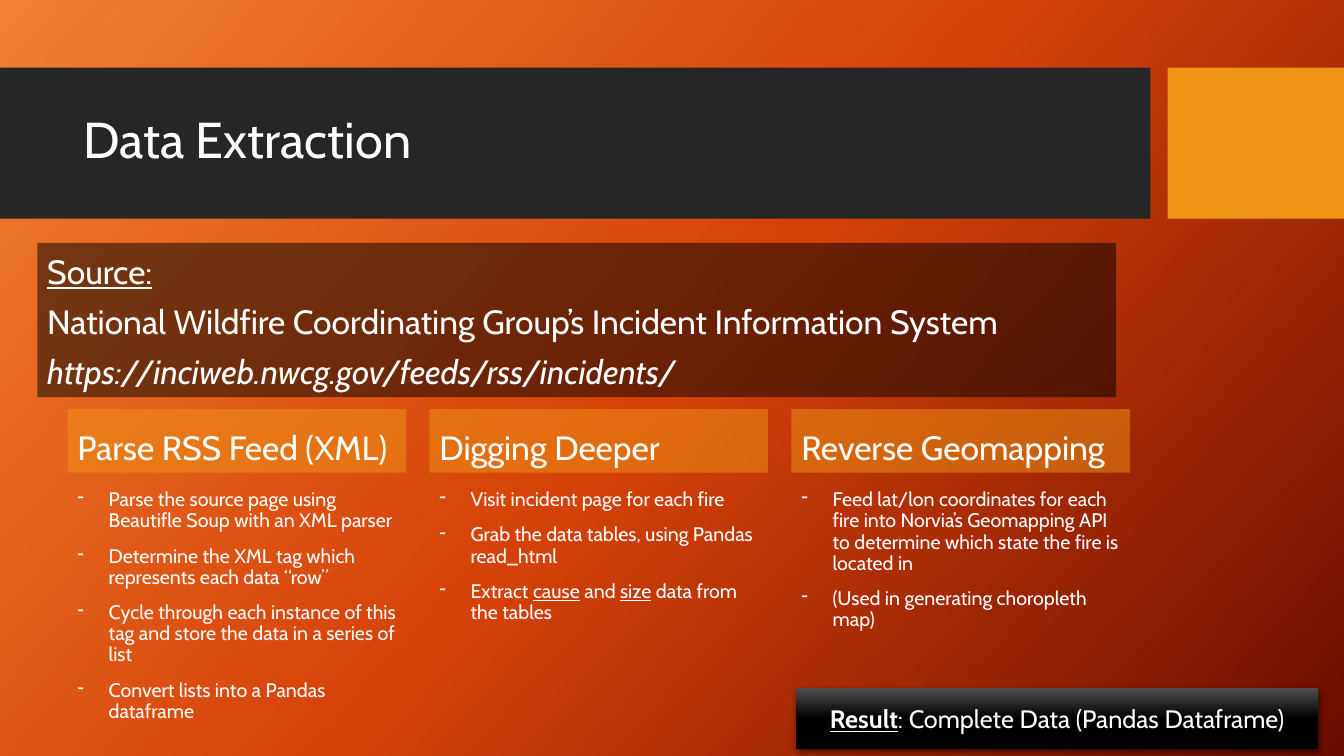
from lxml import etree
from pptx import Presentation
from pptx.dml.color import RGBColor
from pptx.enum.shapes import MSO_SHAPE
from pptx.enum.text import MSO_ANCHOR, PP_ALIGN
from pptx.oxml.ns import qn
from pptx.util import Inches, Pt

RECTANGLE = MSO_SHAPE.RECTANGLE
TOP, MIDDLE, BOTTOM = MSO_ANCHOR.TOP, MSO_ANCHOR.MIDDLE, MSO_ANCHOR.BOTTOM
LEFT, CENTER = PP_ALIGN.LEFT, PP_ALIGN.CENTER
COLORS = {
    "glow": "F18031", "flame": "D54209", "ember": "6A0D00",
    "band": "262626", "accent": "F09415", "text": "FFFFFF",
    "black": "000000", "gloss": "4D4D4D",
}
STEPS = [
    ("Parse RSS Feed (XML)", 2.6, [
        "Parse the source page using Beautifle Soup with an XML parser",
        "Determine the XML tag which represents each data “row”",
        "Cycle through each instance of this tag and store the data in a series of list",
        "Convert lists into a Pandas dataframe",
    ]),
    ("Digging Deeper", 1.69, [
        "Visit incident page for each fire",
        "Grab the data tables, using Pandas read_html",
        [("Extract ", {}), ("cause", {"underline": True}), (" and ", {}),
         ("size", {"underline": True}), (" data from the tables", {})],
    ]),
    ("Reverse Geomapping", 1.59, [
        "Feed lat/lon coordinates for each fire into Norvia’s Geomapping API "
        "to determine which state the fire is located in",
        "(Used in generating choropleth map)",
    ]),
]
SOURCE = [
    [("Source:", {"underline": True})],
    "National Wildfire Coordinating Group’s Incident Information System",
    [("https://inciweb.nwcg.gov/feeds/rss/incidents/", {"italic": True})],
]
RESULT = [[("Result", {"bold": True, "underline": True}),
           (": Complete Data (Pandas Dataframe)", {})]]
COLUMN_LEFT, COLUMN_STEP, COLUMN_WIDTH = 0.67, 3.59, 3.36


def add_run(paragraph, text, size, bold=False, italic=False, underline=False):
    run = paragraph.add_run()
    run.text = text
    font = run.font
    font.name, font.size = "Cabin", Pt(size)
    font.bold, font.italic, font.underline = bold, italic, underline
    font.color.rgb = RGBColor.from_string(COLORS["text"])


class SlideBuilder:
    """Holds the deck's style and the slide being built."""

    def __init__(self, presentation):
        self.slide = presentation.slides.add_slide(presentation.slide_layouts[6])

    def gradient(self, fill, owner, stops, angle):
        fill.gradient()
        fill.gradient_angle = 360 - angle
        stop_list = next(owner.iter(qn("a:gsLst")))
        for stop in list(stop_list):
            stop_list.remove(stop)
        for percent, color in stops:
            stop = etree.SubElement(stop_list, qn("a:gs"), pos=str(percent * 1000))
            etree.SubElement(stop, qn("a:srgbClr"), val=COLORS[color])

    def background(self, stops, angle):
        self.gradient(self.slide.background.fill, self.slide.element, stops, angle)

    def panel(self, box, color, alpha=100):
        panel = self.slide.shapes.add_shape(RECTANGLE, *map(Inches, box))
        panel.shadow.inherit = False
        panel.line.fill.background()
        panel.fill.solid()
        panel.fill.fore_color.rgb = RGBColor.from_string(COLORS[color])
        if alpha < 100:
            tint = next(panel.element.spPr.iter(qn("a:srgbClr")))
            etree.SubElement(tint, qn("a:alpha"), val=str(alpha * 1000))
        return panel

    def drop_shadow(self, panel, blur, distance, alpha):
        effects = panel.element.spPr.find(qn("a:effectLst"))
        shadow = etree.SubElement(
            effects, qn("a:outerShdw"), blurRad=str(Pt(blur)), dist=str(Pt(distance)),
            dir="5400000", algn="ctr", rotWithShape="0")
        tint = etree.SubElement(shadow, qn("a:srgbClr"), val=COLORS["black"])
        etree.SubElement(tint, qn("a:alpha"), val=str(alpha * 1000))

    def fill_text(self, holder, paragraphs, size, anchor=TOP, align=LEFT,
                  spacing=0.9, bullet=None):
        frame = holder.text_frame
        frame.word_wrap = True
        frame.vertical_anchor = anchor
        for index, content in enumerate(paragraphs):
            paragraph = frame.add_paragraph() if index else frame.paragraphs[0]
            if bullet:
                properties = paragraph._p.get_or_add_pPr()
                properties.set("marL", str(Inches(0.31)))
                properties.set("indent", str(-Inches(0.31)))
                etree.SubElement(properties, qn("a:buChar"), char=bullet)
            paragraph.alignment = align
            paragraph.line_spacing = spacing
            paragraph.space_before = Pt(10 if index else 0)
            runs = [(content, {})] if isinstance(content, str) else content
            for text, style in runs:
                add_run(paragraph, text, size, **style)

    def text(self, box, paragraphs, size, **style):
        holder = self.slide.shapes.add_textbox(*map(Inches, box))
        self.fill_text(holder, paragraphs, size, **style)

    def step(self, left, heading, height, points):
        header = self.panel((left, 4.06, COLUMN_WIDTH, 0.63), "accent", alpha=50)
        self.fill_text(header, [heading], 24, anchor=BOTTOM)
        self.text((left, 4.81, COLUMN_WIDTH, height), points, 14, bullet="-")


def main():
    presentation = Presentation()
    presentation.slide_width, presentation.slide_height = Inches(13.33), Inches(7.5)
    builder = SlideBuilder(presentation)
    builder.background([(0, "glow"), (50, "flame"), (100, "ember")], 42)
    builder.panel((0, 0.67, 11.41, 1.5), "band")
    builder.panel((11.58, 0.67, 1.75, 1.5), "accent")
    builder.text((0.73, 0.82, 10.53, 1.18), ["Data Extraction"], 36, anchor=MIDDLE)

    for column, (heading, height, points) in enumerate(STEPS):
        builder.step(COLUMN_LEFT + column * COLUMN_STEP, heading, height, points)

    result = builder.panel((7.9, 6.83, 5.17, 0.6), "black")
    builder.gradient(result.fill, result.element,
                     [(0, "gloss"), (50, "black"), (100, "black")], 90)
    builder.drop_shadow(result, blur=4.5, distance=1.5, alpha=63)
    builder.fill_text(result, RESULT, 18, anchor=MIDDLE, align=CENTER, spacing=1.0)

    source = builder.panel((0.37, 2.41, 10.7, 1.53), "black", alpha=50)
    builder.fill_text(source, SOURCE, 24, anchor=BOTTOM)
    presentation.save("out.pptx")


if __name__ == "__main__":
    main()
